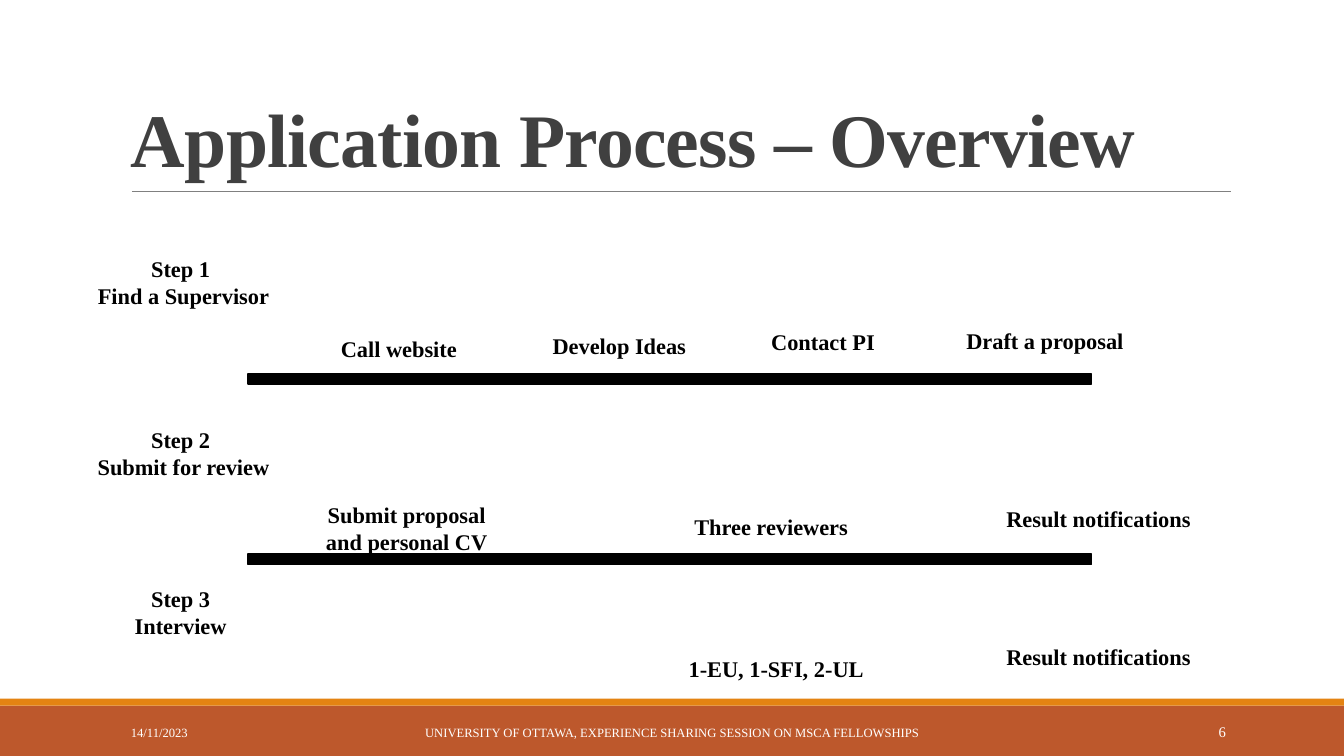
from pptx import Presentation
from pptx.dml.color import RGBColor
from pptx.enum import shapes, text
from pptx.oxml.ns import qn
from pptx.util import Pt
from lxml import etree

# Content
TITLE = "Application Process – Overview"
DATE = "14/11/2023"
EVENT = "UNIVERSITY OF OTTAWA, EXPERIENCE SHARING SESSION ON MSCA FELLOWSHIPS"
PAGE = "6"
STEPS = [  # top, lines
    (178.6, ["Step 1 ", "Find a Supervisor"]),
    (301, ["Step 2 ", "Submit for review "]),
    (414.7, ["Step 3 ", "Interview "]),
]
ACTIVITIES = [  # left, top, width, text
    (223.9, 236.2, 126, "Call website "),
    (379.4, 234, 126, "Develop Ideas"),
    (537.1, 230.7, 101.5, "Contact PI"),
    (681.1, 230.2, 134.6, "Draft a proposal "),
    (212.4, 354.2, 156.2, "Submit proposal and personal CV"),
    (479.5, 362.9, 142.6, "Three reviewers"),
    (711.4, 357.1, 150.5, "Result notifications "),
    (479.5, 464.4, 149.8, "1-EU, 1-SFI, 2-UL"),
    (711.4, 455.8, 150.5, "Result notifications "),
]
TIMELINE_TOPS = [267.1, 396]

# Style
FONT = "Times New Roman"
BLACK = RGBColor(0x00, 0x00, 0x00)
WHITE = RGBColor(0xFF, 0xFF, 0xFF)
DARK = RGBColor(0x40, 0x40, 0x40)
GREY = RGBColor(0x80, 0x80, 0x80)
RUST = RGBColor(0xBD, 0x58, 0x2C)
ORANGE = RGBColor(0xE4, 0x83, 0x12)
LEFT, CENTER, RIGHT = text.PP_ALIGN.LEFT, text.PP_ALIGN.CENTER, text.PP_ALIGN.RIGHT
TOP, MIDDLE, BOTTOM = text.MSO_ANCHOR.TOP, text.MSO_ANCHOR.MIDDLE, text.MSO_ANCHOR.BOTTOM
W, H = 960, 540
FOOTER_TOP, FOOTER_H = 504, 36
STRIPE_H = 5

prs = Presentation()
prs.slide_width, prs.slide_height = Pt(W), Pt(H)
s = prs.slides.add_slide(prs.slide_layouts[6])


def add_text(lines, x, y, w, h, size=16, color=BLACK, bold=False,
             align=CENTER, anchor=TOP, spacing=None, tracking=None):
    tf = s.shapes.add_textbox(Pt(x), Pt(y), Pt(w), Pt(h)).text_frame
    tf.word_wrap = True
    tf.vertical_anchor = anchor
    for i, line in enumerate(lines):
        p = tf.add_paragraph() if i else tf.paragraphs[0]
        p.alignment = align
        if spacing:
            p.line_spacing = spacing
        r = p.add_run()
        r.text = line
        r.font.name, r.font.size, r.font.bold = FONT, Pt(size), bold
        r.font.color.rgb = color
        if tracking:
            r.font._element.set("spc", str(round(tracking * 100)))


def add_bar(x, y, w, h, color, outline=None):
    sp = s.shapes.add_shape(shapes.MSO_SHAPE.RECTANGLE, Pt(x), Pt(y), Pt(w), Pt(h))
    sp.shadow.inherit = False
    sp.fill.solid()
    sp.fill.fore_color.rgb = color
    if outline:
        sp.line.color.rgb = color
        sp.line.width = Pt(outline)
    else:
        sp.line.fill.background()


# Footer bands
add_bar(0, FOOTER_TOP, W, FOOTER_H, RUST)
add_bar(0, FOOTER_TOP - STRIPE_H, W, STRIPE_H, ORANGE)

# Title and rule
rule = s.shapes.add_connector(shapes.MSO_CONNECTOR.STRAIGHT,
                              Pt(94.3), Pt(136.8), Pt(879), Pt(136.8))
rule.line.color.rgb = GREY
rule.line.width = Pt(0.5)
etree.SubElement(rule._element.spPr, qn("a:effectLst"))
add_text([TITLE], 86.4, 19.4, 792, 114.5, size=54, color=DARK, bold=True,
         align=LEFT, anchor=BOTTOM, spacing=0.85, tracking=-0.5)

# Footer text
for line, x, w, size, align in [(DATE, 86.4, 194.4, 9, LEFT),
                                (EVENT, 290.2, 379.4, 9, CENTER),
                                (PAGE, 779.8, 103, 10.5, RIGHT)]:
    add_text([line], x, 508.5, w, 28.8, size=size, color=WHITE,
             align=align, anchor=MIDDLE)

# Steps and timelines
for y, lines in STEPS:
    add_text(lines, 61.2, y, 139.7, 46, bold=True)
for y in TIMELINE_TOPS:
    add_bar(177.1, y, 602.6, 7.2, BLACK, outline=1.25)

# Activities
for x, y, w, line in ACTIVITIES:
    add_text([line], x, y, w, 26.6, bold=True)

prs.save("out.pptx")
